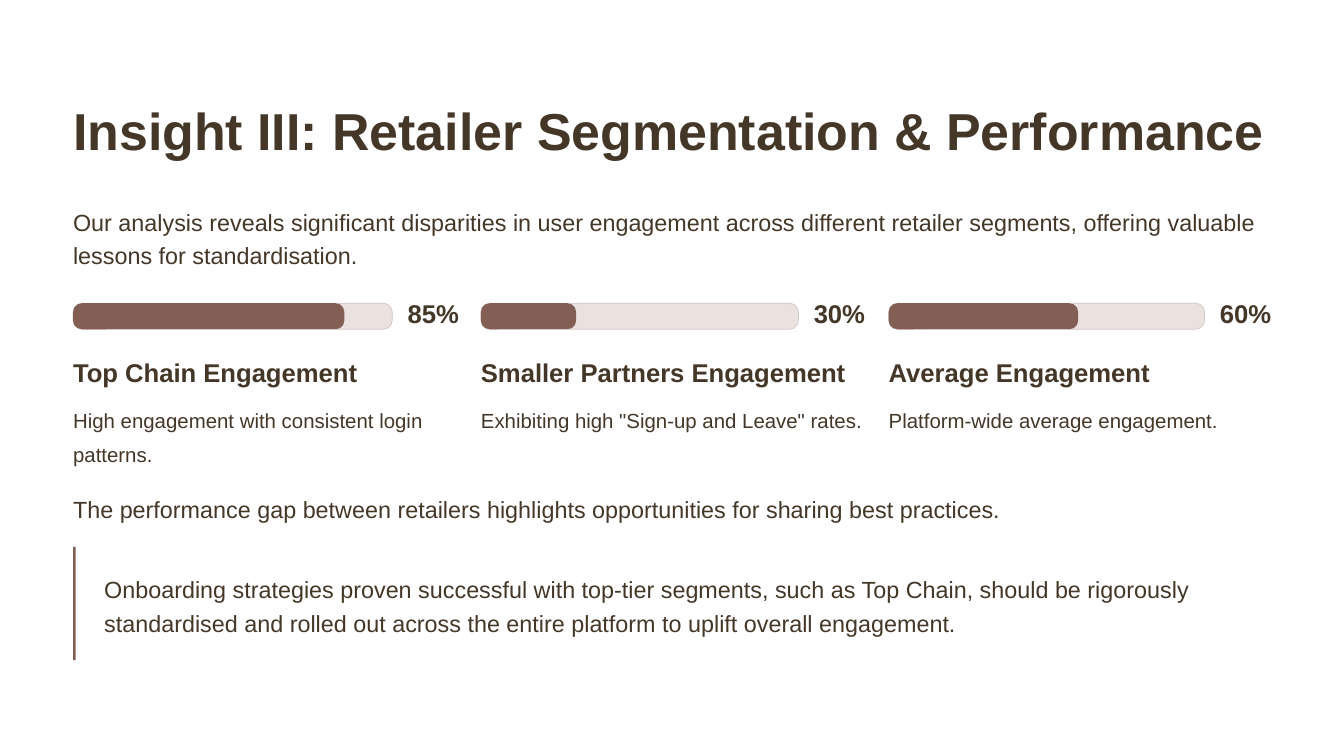
import pptx
import pptx.util
import pptx.dml.color
import pptx.enum.shapes
import pptx.enum.text

Pt = pptx.util.Pt
RGBColor = pptx.dml.color.RGBColor
SHAPE = pptx.enum.shapes.MSO_SHAPE

INK = RGBColor(0x44, 0x37, 0x28)
BROWN = RGBColor(0x83, 0x5E, 0x54)
TRACK = RGBColor(0xEB, 0xE2, 0xE0)
TRACK_LINE = RGBColor(0xD1, 0xC8, 0xC6)

LEFT = 62.64
CONTENT_W = 1026.72
COLUMN_W = 327.6
COLUMN_STEP = 349.56
BAR_TOP = 259.92
BAR_H = 22.32
LABEL_GAP = 13.2

prs = pptx.Presentation()
prs.slide_width, prs.slide_height = Pt(1152), Pt(648)
s = prs.slides.add_slide(prs.slide_layouts[5])


def write(text, left, top, width, height, size, spacing, bold=False, wrap=True, sp=None):
    """Put one paragraph in a new text box, or in the given placeholder."""
    if sp is None:
        sp = s.shapes.add_textbox(0, 0, 0, 0)
    sp.left, sp.top, sp.width, sp.height = Pt(left), Pt(top), Pt(width), Pt(height)
    tf = sp.text_frame
    tf.margin_left = tf.margin_top = tf.margin_right = tf.margin_bottom = 0
    tf.auto_size = pptx.enum.text.MSO_AUTO_SIZE.NONE
    tf.vertical_anchor = pptx.enum.text.MSO_ANCHOR.TOP
    tf.word_wrap = wrap
    p = tf.paragraphs[0]
    p.text = text
    p.alignment = pptx.enum.text.PP_ALIGN.LEFT
    p.line_spacing = Pt(spacing)
    p.font.name = "Arial"
    p.font.size = Pt(size)
    p.font.bold = bold
    p.font.color.rgb = INK


def draw(kind, left, top, width, height, fill, line=None):
    """Draw a filled shape, outlined only when a line colour is given."""
    sp = s.shapes.add_shape(kind, Pt(left), Pt(top), Pt(width), Pt(height))
    sp.shadow.inherit = False
    sp.fill.solid()
    sp.fill.fore_color.rgb = fill
    if kind == SHAPE.ROUNDED_RECTANGLE:
        sp.adjustments[0] = 0.336
    if line is None:
        sp.line.fill.background()
    else:
        sp.line.color.rgb = line
        sp.line.width = Pt(0.6)


# Title and introduction
write("Insight III: Retailer Segmentation & Performance",
      LEFT, 82.08, CONTENT_W, 56.16, 44.5, 55.5, bold=True, wrap=False, sp=s.shapes.title)
write("Our analysis reveals significant disparities in user engagement across different "
      "retailer segments, offering valuable lessons for standardisation.",
      LEFT, 173.52, CONTENT_W, 56.88, 20, 28.5)

# Engagement columns: progress bar, percentage, heading, description
segments = [
    (85, 273.6, "Top Chain Engagement", "High engagement with consistent login patterns."),
    (30, 272.16, "Smaller Partners Engagement", 'Exhibiting high "Sign-up and Leave" rates.'),
    (60, 270.72, "Average Engagement", "Platform-wide average engagement."),
]
for i, (percent, track_w, heading, description) in enumerate(segments):
    left = LEFT + i * COLUMN_STEP
    label_left = left + track_w + LABEL_GAP
    draw(SHAPE.ROUNDED_RECTANGLE, left, BAR_TOP, track_w, BAR_H, TRACK, TRACK_LINE)
    draw(SHAPE.ROUNDED_RECTANGLE, left, BAR_TOP, track_w * percent / 100, BAR_H, BROWN)
    write(f"{percent}%", label_left, BAR_TOP, left + COLUMN_W - label_left, BAR_H,
          22, 22, bold=True, wrap=False)
    write(heading, left, 304.56, COLUMN_W, 28.08, 22, 27.5, bold=True, wrap=False)
    write(description, left, 342.72, COLUMN_W, 56.88, 17.5, 28.5)

# Conclusion
write("The performance gap between retailers highlights opportunities for sharing best practices.",
      LEFT, 419.76, CONTENT_W, 28.8, 20, 28.5, wrap=False)

# Recommendation with side rule
write("Onboarding strategies proven successful with top-tier segments, such as Top Chain, "
      "should be rigorously standardised and rolled out across the entire platform to "
      "uplift overall engagement.",
      89.28, 488.88, 1000.08, 56.88, 20, 28.5)
draw(SHAPE.RECTANGLE, LEFT, 468.72, 2.16, 97.2, BROWN)

prs.save("out.pptx")
